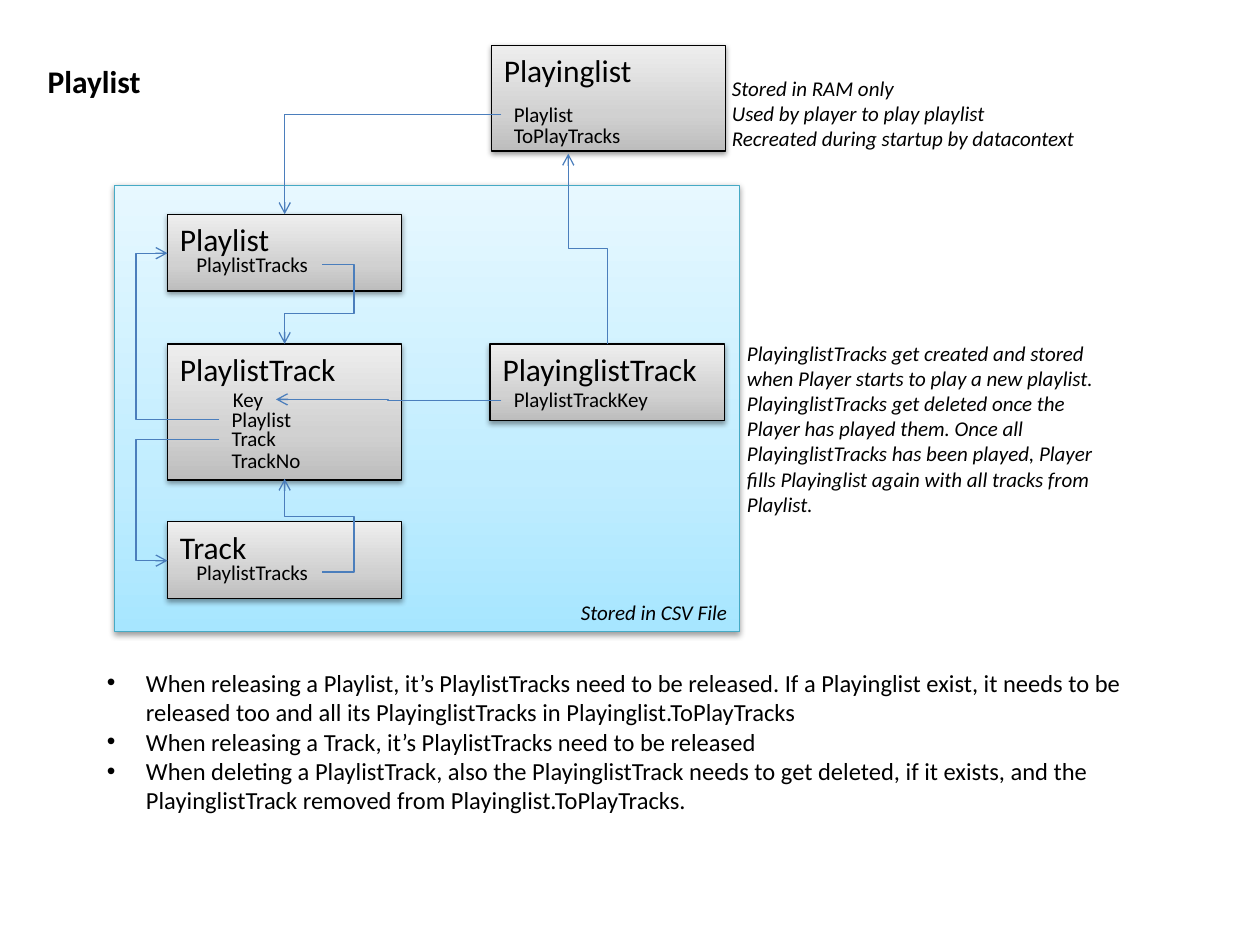
"""Build the slide that shows how playlists and tracks are linked and stored."""
import pptx
import pptx.dml.color
import pptx.enum.shapes
import pptx.enum.text
import pptx.oxml
import pptx.oxml.ns
import pptx.util

THEME = {
    "font": "Calibri", "text": "000000", "link": "4B7EBC", "edge": 0.75,
    "head": 18, "list": 14, "small": 12,
    "node": ("000000", ("BDBDBD", "D1D1D1", "EEEEEE")),
    "store": ("46AAC5", ("A7E6FF", "C1EDFF", "E7F8FF")),
}
STOPS = (0, 35, 100)
NODE_W = 1.86
LABEL_H = 0.3

STORE = ("Stored in CSV File", 0.91, 1.47, 4.96, 3.54)
TITLE = ("Playlist", 0.28, 0.44, 0.94, 0.4)
NODES = [
    ("Track", 1.33, 4.14, 0.61),
    ("Playlist", 1.33, 1.7, 0.61),
    ("PlaylistTrack", 1.33, 2.73, 1.08),
    ("PlayinglistTrack", 3.89, 2.73, 0.61),
    ("Playinglist", 3.9, 0.36, 0.84),
]
LABELS = [
    ("Key", 1.75, 3.02, 0.45),
    ("Playlist", 1.74, 3.18, 0.68),
    ("Track", 1.74, 3.33, 0.56),
    ("TrackNo", 1.74, 3.5, 0.76),
    ("PlaylistTrackKey", 3.98, 3.02, 1.32),
    ("Playlist", 3.98, 0.76, 0.68),
    ("ToPlayTracks", 3.98, 0.92, 1.06),
    ("PlaylistTracks", 1.46, 4.39, 1.1),
    ("PlaylistTracks", 1.46, 1.95, 1.1),
]
NOTES = [
    (5.71, 0.55, 2.95, 0.71, False, [
        "Stored in RAM only",
        "Used by player to play playlist",
        "Recreated during startup by datacontext",
    ]),
    (5.83, 2.65, 2.95, 1.51, True, [
        "PlayinglistTracks get created and stored when Player starts to play a new playlist.",
        "PlayinglistTracks get deleted once the Player has played them. Once all "
        "PlayinglistTracks has been played, Player fills Playinglist again with all tracks from",
        "Playlist.",
    ]),
]
RULES = [
    "When releasing a Playlist, it’s PlaylistTracks need to be released. If a Playinglist "
    "exist, it needs to be released too and all its PlayinglistTracks in Playinglist.ToPlayTracks",
    "When releasing a Track, it’s PlaylistTracks need to be released",
    "When deleting a PlaylistTrack, also the PlayinglistTrack needs to get deleted, if it "
    "exists, and the PlayinglistTrack removed from Playinglist.ToPlayTracks.",
]
# start, end, first bend in x, second bend in y, upright
LINKS = [
    {"start": (1.74, 3.33), "end": (1.33, 2.01), "x": 1.08},
    {"start": (1.74, 3.49), "end": (1.33, 4.45), "x": 1.08},
    {"start": (3.98, 3.18), "end": (2.19, 3.17), "x": 3.08},
    {"start": (4.82, 2.73), "end": (4.51, 1.22), "turn": True},
    {"start": (3.98, 0.91), "end": (2.26, 1.7)},
    {"start": (2.56, 4.54), "end": (2.26, 3.8), "x": 2.81, "y": 4.1},
    {"start": (2.56, 2.1), "end": (2.26, 2.73), "x": 2.81, "y": 2.49},
]

Inches = pptx.util.Inches
Pt = pptx.util.Pt
qn = pptx.oxml.ns.qn


def color(code):
    """Return a colour from its hex code."""
    return pptx.dml.color.RGBColor.from_string(code)


def make(xml):
    """Return a drawing element from its markup."""
    tag, rest = xml[1:].split(">", 1) if not xml.endswith("/>") else (xml[1:-2], None)
    space = ' xmlns:a="http://schemas.openxmlformats.org/drawingml/2006/main"'
    tail = "/>" if rest is None else ">" + rest
    return pptx.oxml.parse_xml("<" + tag + space + tail)


def write(frame, lines, size, bold=False, slant=False):
    """Write each line as a paragraph with one run."""
    for num, line in enumerate(lines):
        para = frame.paragraphs[0] if num == 0 else frame.add_paragraph()
        para.alignment = pptx.enum.text.PP_ALIGN.LEFT
        run = para.add_run()
        run.text = line
        font = run.font
        font.name, font.size = THEME["font"], Pt(THEME[size])
        font.bold, font.italic = bold, slant
        font.color.rgb = color(THEME["text"])


def add_text(slide, place, lines, size, wrap=False, **style):
    """Add a text box and return its frame."""
    frame = slide.shapes.add_textbox(*map(Inches, place)).text_frame
    frame.word_wrap = wrap
    write(frame, lines, size, **style)
    return frame


def add_box(slide, place, kind):
    """Add a shaded box with a soft shadow and return its frame."""
    box = slide.shapes.add_shape(pptx.enum.shapes.MSO_SHAPE.RECTANGLE, *map(Inches, place))
    edge, shades = THEME[kind]
    box.line.color.rgb = color(edge)
    box.line.width = Pt(THEME["edge"])
    box.fill.solid()
    props = box._element.spPr
    stops = "".join(
        f'<a:gs pos="{stop * 1000}"><a:srgbClr val="{shade}"/></a:gs>'
        for stop, shade in zip(STOPS, shades))
    props.replace(props.find(qn("a:solidFill")), make(
        f'<a:gradFill rotWithShape="1"><a:gsLst>{stops}</a:gsLst>'
        '<a:lin ang="16200000" scaled="0"/></a:gradFill>'))
    box.shadow.inherit = False
    props.find(qn("a:effectLst")).append(make(
        '<a:outerShdw blurRad="40000" dist="20000" dir="5400000" rotWithShape="0">'
        '<a:srgbClr val="000000"><a:alpha val="38000"/></a:srgbClr></a:outerShdw>'))
    return box.text_frame


def add_link(slide, start, end, x=None, y=None, turn=False):
    """Add a bent arrow whose bends lie at the given x and y."""
    (left, top), (right, low) = start, end
    bends = []
    if x is not None:
        bends.append((x - left) / (right - left))
    if y is not None:
        bends.append((y - top) / (low - top))
    if turn:
        bends = [0.5]
        mid_x, mid_y = (left + right) / 2, (top + low) / 2
        half_x, half_y = (right - left) / 2, (low - top) / 2
        left, right = mid_x + half_y, mid_x - half_y
        top, low = mid_y - half_x, mid_y + half_x
    link = slide.shapes.add_connector(
        pptx.enum.shapes.MSO_CONNECTOR.ELBOW, *map(Inches, (left, top, right, low)))
    link.line.color.rgb = color(THEME["link"])
    link.line.width = Pt(THEME["edge"])
    props = link._element.spPr
    if turn:
        props.find(qn("a:xfrm")).set("rot", "16200000")
    shape = props.find(qn("a:prstGeom"))
    shape.set("prst", f"bentConnector{len(bends) + 2}")
    guides = "".join(
        f'<a:gd name="adj{num}" fmla="val {round(bend * 100000)}"/>'
        for num, bend in enumerate(bends, 1))
    shape.replace(shape.find(qn("a:avLst")), make(f"<a:avLst>{guides}</a:avLst>"))
    props.find(qn("a:ln")).append(make('<a:tailEnd type="arrow"/>'))
    props.append(make("<a:effectLst/>"))


def main():
    """Lay out the slide and save it."""
    deck = pptx.Presentation()
    deck.slide_width, deck.slide_height = Inches(10), Inches(7.5)
    slide = deck.slides.add_slide(deck.slide_layouts[6])

    frame = add_box(slide, STORE[1:], "store")
    write(frame, STORE[:1], "small", slant=True)
    frame.vertical_anchor = pptx.enum.text.MSO_ANCHOR.BOTTOM
    frame.paragraphs[0].alignment = pptx.enum.text.PP_ALIGN.RIGHT
    add_text(slide, TITLE[1:], TITLE[:1], "head", bold=True)

    for name, left, top, high in NODES:
        frame = add_box(slide, (left, top, NODE_W, high), "node")
        frame.vertical_anchor = pptx.enum.text.MSO_ANCHOR.TOP
        write(frame, [name], "head")
    for name, left, top, wide in LABELS:
        add_text(slide, (left, top, wide, LABEL_H), [name], "small")
    for *place, wrap, lines in NOTES:
        add_text(slide, place, lines, "small", wrap, slant=True)
    for link in LINKS:
        add_link(slide, **link)

    frame = add_text(slide, (0.75, 5.25, 8.82, 1.28), RULES, "list", True)
    for para in frame.paragraphs:
        props = para._p.get_or_add_pPr()
        props.set("marL", str(Inches(0.31)))
        props.set("indent", str(Inches(-0.31)))
        props.append(make('<a:buFont typeface="Arial"/>'))
        props.append(make('<a:buChar char="•"/>'))
    deck.save("out.pptx")


if __name__ == "__main__":
    main()
